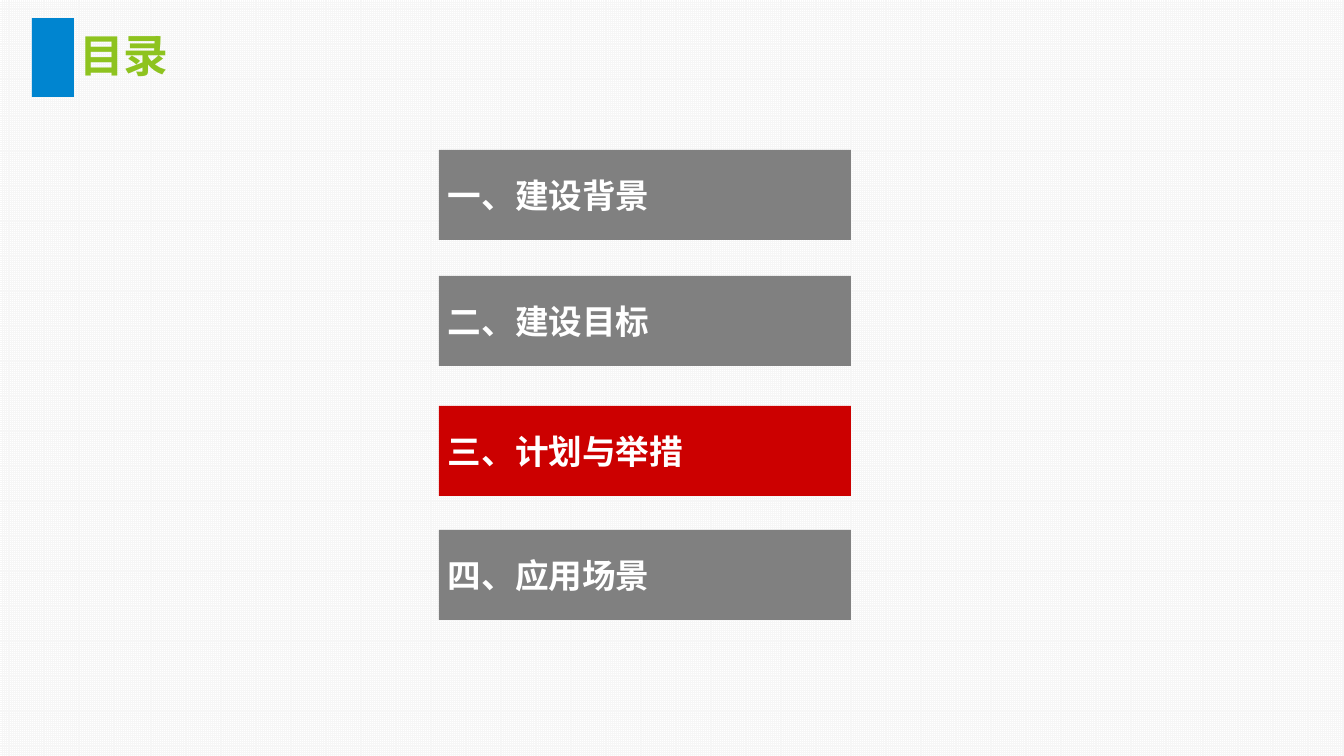
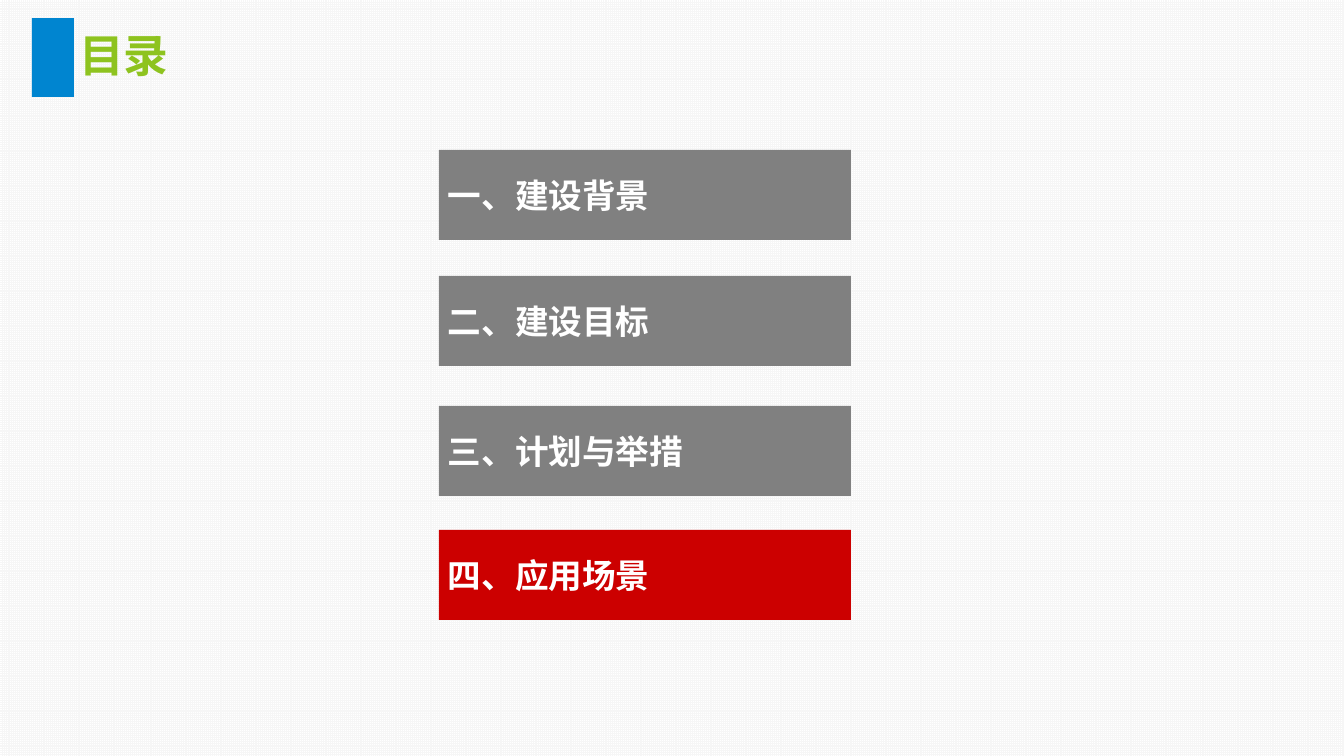
from dataclasses import dataclass

from lxml import etree
from pptx import Presentation
from pptx.dml.color import RGBColor
from pptx.enum.dml import MSO_PATTERN
from pptx.enum.shapes import MSO_SHAPE
from pptx.enum.text import MSO_ANCHOR, MSO_AUTO_SIZE, PP_ALIGN
from pptx.oxml.ns import qn
from pptx.shapes.autoshape import Shape
from pptx.slide import Slide, SlideLayout
from pptx.text.text import _Paragraph
from pptx.util import Emu, Pt

RECT = MSO_SHAPE.RECTANGLE
SMALL_GRID = MSO_PATTERN.SMALL_GRID
TOP, MIDDLE = MSO_ANCHOR.TOP, MSO_ANCHOR.MIDDLE
LEFT = PP_ALIGN.LEFT
FIT_SHAPE = MSO_AUTO_SIZE.SHAPE_TO_FIT_TEXT

WHITE = RGBColor(0xFF, 0xFF, 0xFF)
GRID = RGBColor(0xF6, 0xF6, 0xF6)
BLUE = RGBColor(0x00, 0x85, 0xD0)
GREEN = RGBColor(0x8E, 0xC3, 0x1F)
GRAY = RGBColor(0x80, 0x80, 0x80)
RED = RGBColor(0xCC, 0x00, 0x00)

FONT = "Noto Sans CJK SC"
PX_PER_INCH = 100.8
SLIDE_W, SLIDE_H = 1344, 756
TITLE = "目录"


@dataclass(frozen=True)
class Box:
    left: int
    top: int
    width: int
    height: int


@dataclass(frozen=True)
class Section:
    text: str
    top: int


ACCENT_BOX = Box(32, 18, 42, 79)
TITLE_BOX = Box(69, 23, 879, 65)
BAR_LEFT, BAR_W, BAR_H = 439, 412, 90
SECTIONS = (
    Section("一、建设背景", 150),
    Section("二、建设目标", 276),
    Section("三、计划与举措", 406),
    Section("四、应用场景", 530),
)
ACTIVE_SECTIONS = (2, 3)


def px(n: int) -> Emu:
    return Emu(round(n * 914400 / PX_PER_INCH))


def style_paragraph(p: _Paragraph, size: int, color: RGBColor) -> None:
    p.alignment = LEFT
    font = p.font
    font.size, font.bold, font.name = Pt(size), True, FONT
    font.color.rgb = color
    props = p._p.pPr.find(qn("a:defRPr"))
    etree.SubElement(props, qn("a:ea")).set("typeface", FONT)


def add_rect(s: Slide, box: Box, color: RGBColor) -> Shape:
    sp = s.shapes.add_shape(
        RECT, px(box.left), px(box.top), px(box.width), px(box.height)
    )
    sp.shadow.inherit = False
    sp.fill.solid()
    sp.fill.fore_color.rgb = color
    sp.line.fill.background()
    return sp


def set_background(layout: SlideLayout) -> None:
    fill = layout.background.fill
    fill.patterned()
    fill.pattern = SMALL_GRID
    fill.fore_color.rgb = GRID
    fill.back_color.rgb = WHITE


def add_accent(layout: SlideLayout, s: Slide) -> None:
    accent = add_rect(s, ACCENT_BOX, BLUE)
    layout.shapes.element.insert(2, accent.element)


def set_title(s: Slide) -> None:
    sp = s.shapes.title
    sp.left, sp.top = px(TITLE_BOX.left), px(TITLE_BOX.top)
    sp.width, sp.height = px(TITLE_BOX.width), px(TITLE_BOX.height)
    tf = sp.text_frame
    tf.text = TITLE
    tf.word_wrap = True
    tf.vertical_anchor = TOP
    tf.auto_size = FIT_SHAPE
    style_paragraph(tf.paragraphs[0], 32, GREEN)


def add_section(s: Slide, section: Section, active: bool) -> None:
    box = Box(BAR_LEFT, section.top, BAR_W, BAR_H)
    tf = add_rect(s, box, RED if active else GRAY).text_frame
    tf.text = section.text
    tf.word_wrap = True
    tf.vertical_anchor = MIDDLE
    tf.margin_left = tf.margin_right = px(9)
    tf.margin_top = tf.margin_bottom = px(4)
    style_paragraph(tf.paragraphs[0], 24, WHITE)


def add_agenda(s: Slide, active: int) -> None:
    set_title(s)
    for i, section in enumerate(SECTIONS):
        add_section(s, section, i == active)


def main() -> None:
    prs = Presentation()
    prs.slide_width, prs.slide_height = px(SLIDE_W), px(SLIDE_H)
    layout = prs.slide_layouts.get_by_name("Title Only")
    set_background(layout)
    slides = [prs.slides.add_slide(layout) for _ in ACTIVE_SECTIONS]
    add_accent(layout, slides[0])
    for s, active in zip(slides, ACTIVE_SECTIONS):
        add_agenda(s, active)
    prs.save("out.pptx")


if __name__ == "__main__":
    main()
